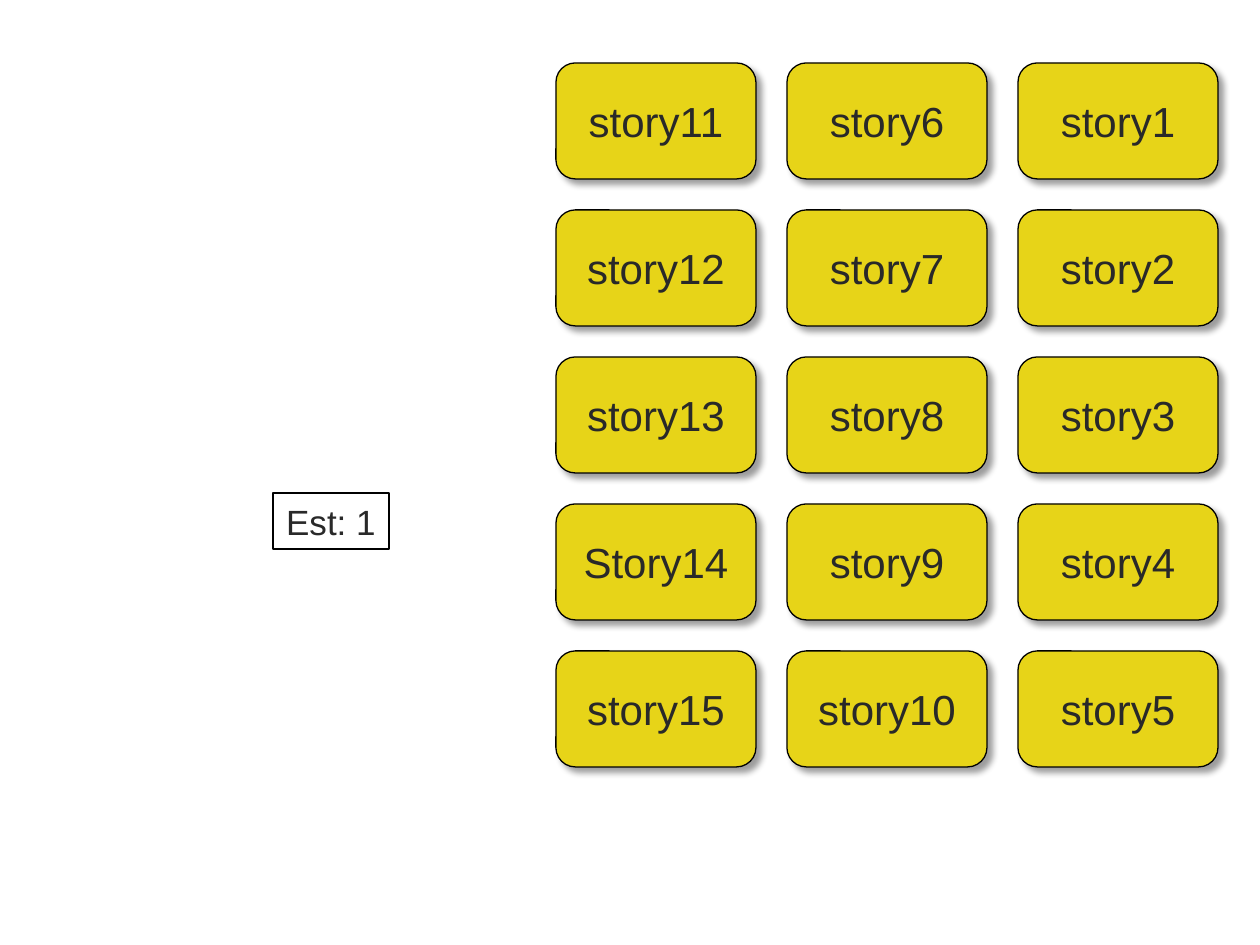
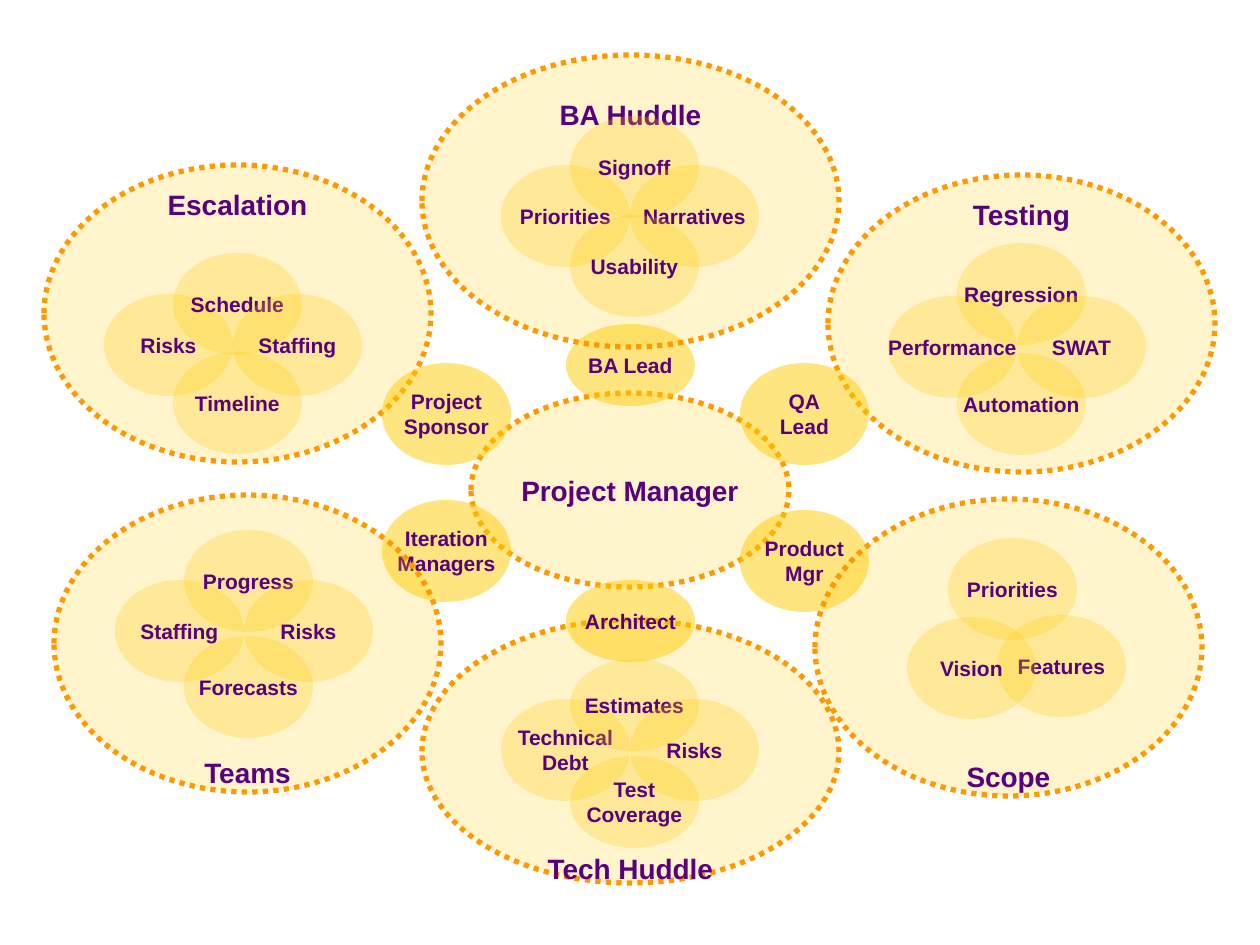
"""Build a story board slide and a project communication map slide."""
from lxml.etree import SubElement
from pptx import Presentation
from pptx.dml.color import RGBColor
from pptx.enum.dml import MSO_LINE
from pptx.enum.shapes import MSO_SHAPE
from pptx.enum.text import MSO_ANCHOR, PP_ALIGN
from pptx.oxml.ns import qn
from pptx.util import Emu, Pt

PIXELS_PER_INCH = 126
FONT = "Arial"
COLORS = {
    "card": "E7D418",
    "card_text": "292929",
    "outline": "000000",
    "bubble": "FFCC00",
    "dots": "FF9900",
    "bubble_text": "5A007D",
}

STORY_COLUMNS = [
    ["story11", "story12", "story13", "Story14", "story15"],
    ["story6", "story7", "story8", "story9", "story10"],
    ["story1", "story2", "story3", "story4", "story5"],
]
CARD_LEFT, CARD_TOP, CARD_WIDTH, CARD_HEIGHT = 556, 63, 200, 116
CARD_GAP = 31
ESTIMATE = ("Est: 1", (273, 493, 116, 56))

BUBBLE_WIDTH, BUBBLE_HEIGHT = 129, 102
LOW_PETAL_HEIGHT, LOW_LEAD_HEIGHT = 92, 82
CROSS_OFFSETS = (0, 69, 129, 69)
HUB_SIZE = (387, 297)
TITLE_HIGH = (0, 252)
TITLE_LOW = (225, 0)


def cross(left, tops, names, heights=(BUBBLE_HEIGHT,) * 4):
    """Return left, upper, right and lower petals as (name, box) pairs."""
    return [
        (name, (left + offset, top, BUBBLE_WIDTH, height))
        for name, offset, top, height in zip(names, CROSS_OFFSETS, tops, heights)
    ]


def lead(name, left, top, height=BUBBLE_HEIGHT):
    """Return a connecting role as a hub-free map entry."""
    return {"lead": name, "box": (left, top, BUBBLE_WIDTH, height)}


def hub(name, box, insets=(0, 0), petals=(), anchor=MSO_ANCHOR.TOP):
    """Return a dotted hub with its petals as a map entry."""
    return {"hub": name, "box": box, "insets": insets, "petals": petals, "anchor": anchor}


COMMUNICATION_MAP = [
    hub("Testing", (828, 175, *HUB_SIZE), TITLE_HIGH, cross(
        888, (296, 243, 296, 353), ("Performance", "Regression", "SWAT", "Automation"))),
    hub("Tech Huddle", (422, 620, 417, 263), (201, 0), cross(
        501, (699, 659, 699, 756),
        ("Technical\nDebt", "Estimates", "Risks", "Test\nCoverage"),
        (BUBBLE_HEIGHT, LOW_PETAL_HEIGHT) * 2)),
    hub("Project Manager", (471, 393, 318, 194), anchor=MSO_ANCHOR.MIDDLE),
    lead("Iteration\nManagers", 382, 500),
    hub("Teams", (54, 495, *HUB_SIZE), TITLE_LOW, cross(
        115, (580, 530, 580, 636), ("Staffing", "Progress", "Risks", "Forecasts"))),
    lead("Architect", 566, 580, LOW_LEAD_HEIGHT),
    lead("Product\nMgr", 740, 510),
    hub("Scope", (815, 499, *HUB_SIZE), TITLE_LOW, [
        ("Priorities", (948, 538, BUBBLE_WIDTH, BUBBLE_HEIGHT)),
        ("Features", (997, 615, BUBBLE_WIDTH, BUBBLE_HEIGHT)),
        ("Vision", (907, 617, BUBBLE_WIDTH, BUBBLE_HEIGHT)),
    ]),
    hub("Escalation", (44, 165, *HUB_SIZE), TITLE_HIGH, cross(
        104, (294, 253, 294, 352), ("Risks", "Schedule", "Staffing", "Timeline"))),
    lead("BA Lead", 566, 324, LOW_LEAD_HEIGHT),
    hub("BA Huddle", (422, 55, 417, 292), (0, 151), cross(
        501, (165, 116, 165, 215), ("Priorities", "Signoff", "Narratives", "Usability"))),
    lead("QA\nLead", 740, 363),
    lead("Project\nSponsor", 382, 363),
]


def px(length):
    """Convert pixels to EMU."""
    return Emu(round(length * 914400 / PIXELS_PER_INCH))


def color(name):
    """Look up a named colour."""
    return RGBColor.from_string(COLORS[name])


def add_labelled_shape(slide, kind, text, box, size, text_color, bold=False):
    """Add an unfilled, unlined shape with centred text."""
    shape = slide.shapes.add_shape(kind, *map(px, box))
    shape.shadow.inherit = False
    shape.fill.background()
    shape.line.fill.background()
    frame = shape.text_frame
    frame.word_wrap = False
    frame.vertical_anchor = MSO_ANCHOR.MIDDLE
    frame.text = text
    for paragraph in frame.paragraphs:
        paragraph.alignment = PP_ALIGN.CENTER
        paragraph.font.name = FONT
        paragraph.font.size = Pt(size)
        paragraph.font.bold = bold
        paragraph.font.color.rgb = color(text_color)
    return shape


def set_fill(shape, name, opacity=100):
    """Fill a shape with a colour at an opacity in percent."""
    shape.fill.solid()
    shape.fill.fore_color.rgb = color(name)
    if opacity < 100:
        fill = shape.element.spPr.find(qn("a:solidFill"))
        SubElement(fill[0], qn("a:alpha"), val=str(opacity * 1000))


def set_line(shape, name, width):
    """Outline a shape."""
    shape.line.color.rgb = color(name)
    shape.line.width = Pt(width)


def add_shadow(shape):
    """Cast a soft shadow to the lower right."""
    effects = shape.element.spPr.find(qn("a:effectLst"))
    shadow = SubElement(
        effects, qn("a:outerShdw"), blurRad=str(Pt(4)), dist=str(Pt(4)),
        dir=str(45 * 60000), algn="tl", rotWithShape="0")
    shade = SubElement(shadow, qn("a:srgbClr"), val=COLORS["outline"])
    SubElement(shade, qn("a:alpha"), val="38000")


def build_story_board(slide):
    """Lay out the story cards and the estimate label."""
    for column, stories in enumerate(STORY_COLUMNS):
        for row, story in enumerate(stories):
            box = (CARD_LEFT + column * (CARD_WIDTH + CARD_GAP),
                   CARD_TOP + row * (CARD_HEIGHT + CARD_GAP), CARD_WIDTH, CARD_HEIGHT)
            card = add_labelled_shape(
                slide, MSO_SHAPE.ROUNDED_RECTANGLE, story, box, 24, "card_text")
            set_fill(card, "card")
            set_line(card, "outline", 0.75)
            add_shadow(card)
    text, box = ESTIMATE
    estimate = add_labelled_shape(slide, MSO_SHAPE.RECTANGLE, text, box, 20, "card_text")
    set_line(estimate, "outline", 0.75)


def add_bubble(slide, text, box, opacity, size=12):
    """Add a translucent ellipse with a bold label."""
    bubble = add_labelled_shape(
        slide, MSO_SHAPE.OVAL, text, box, size, "bubble_text", bold=True)
    set_fill(bubble, "bubble", opacity)
    return bubble


def add_hub(slide, entry):
    """Add a dotted hub and the petals inside it."""
    bubble = add_bubble(slide, entry["hub"], entry["box"], 20, 16)
    set_line(bubble, "dots", 3)
    bubble.line.dash_style = MSO_LINE.ROUND_DOT
    frame = bubble.text_frame
    frame.vertical_anchor = entry["anchor"]
    frame.margin_left = frame.margin_right = 0
    frame.margin_top, frame.margin_bottom = map(px, entry["insets"])
    for name, box in entry["petals"]:
        add_bubble(slide, name, box, 25)


def build_communication_map(slide):
    """Lay out the hubs and the roles that link them."""
    for entry in COMMUNICATION_MAP:
        if "hub" in entry:
            add_hub(slide, entry)
        else:
            add_bubble(slide, entry["lead"], entry["box"], 50)


def main():
    """Build and save the presentation."""
    presentation = Presentation()
    presentation.slide_width, presentation.slide_height = px(1260), px(945)
    blank_layout = presentation.slide_layouts[6]
    for build in (build_story_board, build_communication_map):
        build(presentation.slides.add_slide(blank_layout))
    presentation.save("out.pptx")


if __name__ == "__main__":
    main()
